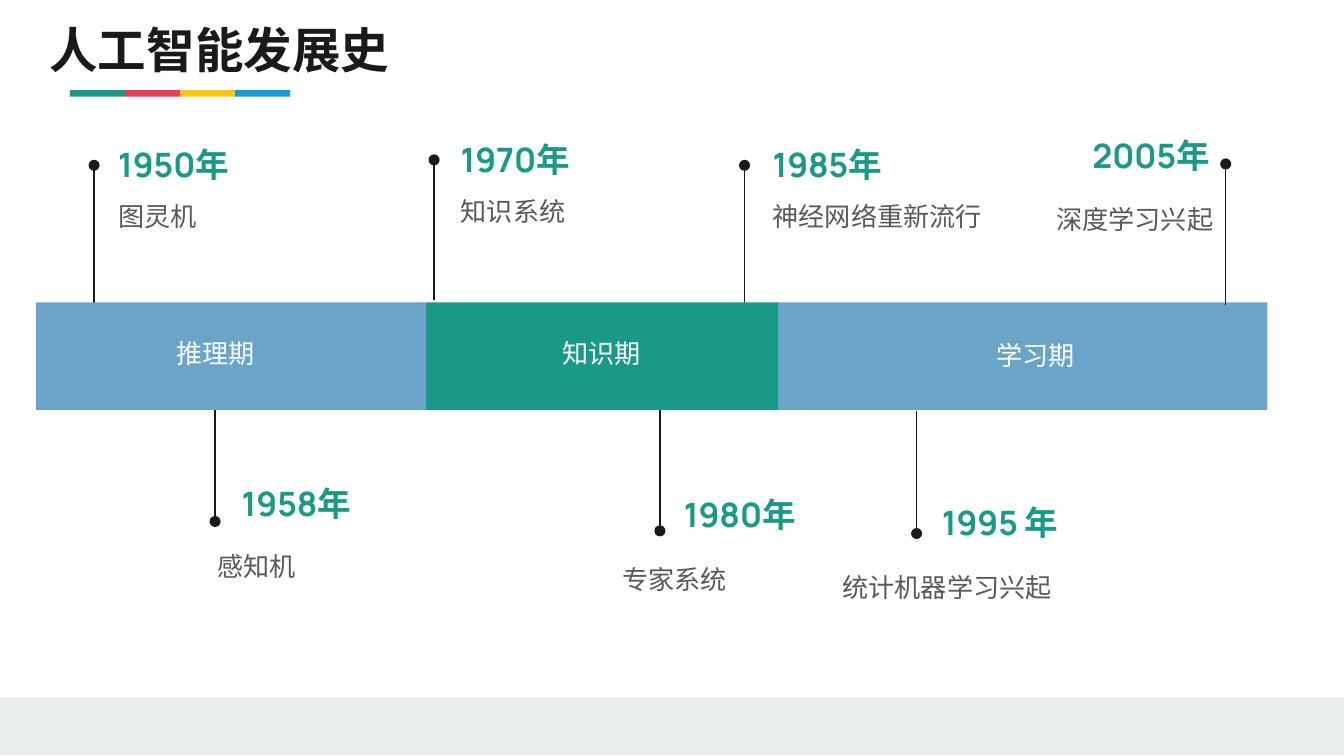
from dataclasses import dataclass

import pptx
import pptx.dml.color
import pptx.enum.shapes
import pptx.enum.text
import pptx.oxml
import pptx.oxml.ns
import pptx.util
from lxml import etree

Inches = pptx.util.Inches
Pt = pptx.util.Pt
qn = pptx.oxml.ns.qn
Align = pptx.enum.text.PP_ALIGN
Anchor = pptx.enum.text.MSO_ANCHOR
Box = tuple[float, float, float, float]


@dataclass(frozen=True)
class Style:
    font: str
    size: int
    color: str
    bold: bool = False


@dataclass(frozen=True)
class Theme:
    ink: str = "1A1A1A"
    green: str = "1A9988"
    blue: str = "6AA4C8"
    foot: str = "E9EDEE"
    stripe: tuple[str, ...] = ("1A9988", "E93D51", "FFC60B", "199AD7")
    asian: str = "Noto Sans CJK SC"
    title: Style = Style("Noto Sans CJK SC", 26, "1A1A1A", True)
    year: Style = Style("Manrope", 18, "1A9988", True)
    note: Style = Style("Lato", 14, "595959")
    era: Style = Style("Arial", 14, "FFFFFF")


@dataclass(frozen=True)
class Era:
    name: str
    left: float
    width: float
    fill: str
    label: tuple[float, float]  # left and top of the name


@dataclass(frozen=True)
class Event:
    year: str
    note: str
    pin: tuple[float, float, float]  # x, y at the bar, y at the dot
    head: Box
    body: Box


THEME = Theme()
BAR_TOP, BAR_HIGH = 2.25, 0.8

ERAS = [
    Era("推理期", 0.27, 2.9, THEME.blue, (1.07, 2.46)),
    Era("知识期", 3.17, 2.62, THEME.green, (3.94, 2.46)),
    Era("学习期", 5.78, 3.65, THEME.blue, (7.17, 2.48)),
]

EVENTS = [
    Event("1950年", "图灵机", (0.7, 2.28, 1.23),
          (0.78, 1.01, 1.18, 0.43), (0.78, 1.36, 0.98, 0.43)),
    Event("1958年", "感知机", (1.6, 2.98, 3.88),
          (1.7, 3.53, 1.22, 0.43), (1.52, 3.96, 0.99, 0.48)),
    Event("1970年", "知识系统", (3.23, 2.23, 1.19),
          (3.33, 0.97, 2.57, 0.43), (3.33, 1.32, 2.57, 0.63)),
    Event("1980年", "专家系统", (4.91, 3.05, 3.95),
          (4.99, 3.61, 1.22, 0.43), (4.53, 4.06, 1.25, 0.48)),
    Event("1985年", "神经网络重新流行", (5.54, 2.28, 1.23),
          (5.65, 1.01, 2.57, 0.43), (5.65, 1.36, 2.57, 0.63)),
    Event("1995 年", "统计机器学习兴起", (6.82, 3.06, 3.97),
          (6.91, 3.67, 1.14, 0.43), (6.17, 4.12, 1.86, 0.45)),
    Event("2005年", "深度学习兴起", (9.12, 2.27, 1.22),
          (8.03, 0.94, 1.47, 0.43), (7.76, 1.38, 1.58, 0.43)),
]


def tint(code: str) -> pptx.dml.color.RGBColor:
    return pptx.dml.color.RGBColor.from_string(code)


def add_rect(slide, box: Box, fill: str) -> None:
    kind = pptx.enum.shapes.MSO_SHAPE.RECTANGLE
    rect = slide.shapes.add_shape(kind, *map(Inches, box))
    rect.shadow.inherit = False
    rect.fill.solid()
    rect.fill.fore_color.rgb = tint(fill)
    rect.line.fill.background()


def add_text(slide, box: Box, text: str, style: Style, *,
             align=Align.LEFT, anchor=Anchor.TOP, pad: float = 0.1,
             lines: float = 1.0) -> None:
    frame = slide.shapes.add_textbox(*map(Inches, box)).text_frame
    frame.word_wrap = True
    frame.vertical_anchor = anchor
    frame.margin_left = frame.margin_right = Inches(0.1)
    frame.margin_top = frame.margin_bottom = Inches(pad)
    para = frame.paragraphs[0]
    para.alignment = align
    para.line_spacing = lines
    run = para.add_run()
    run.text = text
    run.font.name = style.font
    run.font.size = Pt(style.size)
    run.font.bold = style.bold
    run.font.color.rgb = tint(style.color)
    latin = run.font._element.find(qn("a:latin"))
    asian = etree.Element(qn("a:ea"), typeface=THEME.asian)
    latin.addnext(asian)


def add_pin(slide, x: float, start: float, end: float) -> None:
    kind = pptx.enum.shapes.MSO_CONNECTOR.STRAIGHT
    pin = slide.shapes.add_connector(kind, *map(Inches, (x, start, x, end)))
    pin.line.color.rgb = tint(THEME.ink)
    pin.line.width = Pt(0.75)
    etree.SubElement(pin.line._get_or_add_ln(), qn("a:tailEnd"), type="oval")
    etree.SubElement(pin._element.spPr, qn("a:effectLst"))


def add_era(slide, era: Era) -> None:
    add_rect(slide, (era.left, BAR_TOP, era.width, BAR_HIGH), era.fill)
    add_text(slide, (*era.label, 1.07, 0.34), era.name, THEME.era,
             align=Align.CENTER, pad=0.05)


def add_event(slide, event: Event) -> None:
    add_pin(slide, *event.pin)
    add_text(slide, event.head, event.year, THEME.year, anchor=Anchor.MIDDLE)
    add_text(slide, event.body, event.note, THEME.note, lines=1.15)


def main() -> None:
    deck = pptx.Presentation()
    deck.slide_width = Inches(10)
    deck.slide_height = deck.slide_width * 9 // 16
    slide = deck.slides.add_slide(deck.slide_layouts[6])

    # Footer band, title and its striped rule
    add_rect(slide, (0, 5.19, 10, 0.43), THEME.foot)
    for i, color in enumerate(THEME.stripe):
        add_rect(slide, (0.52 + 0.41 * i, 0.67, 0.41, 0.05), color)
    add_text(slide, (0.27, 0.05, 2.9, 0.59), "人工智能发展史", THEME.title)

    # The last era lies behind the pins, the earlier ones cover their ends
    *early, last = ERAS
    add_era(slide, last)
    for event in EVENTS:
        add_event(slide, event)
    for era in early:
        add_era(slide, era)

    deck.save("out.pptx")


if __name__ == "__main__":
    main()
